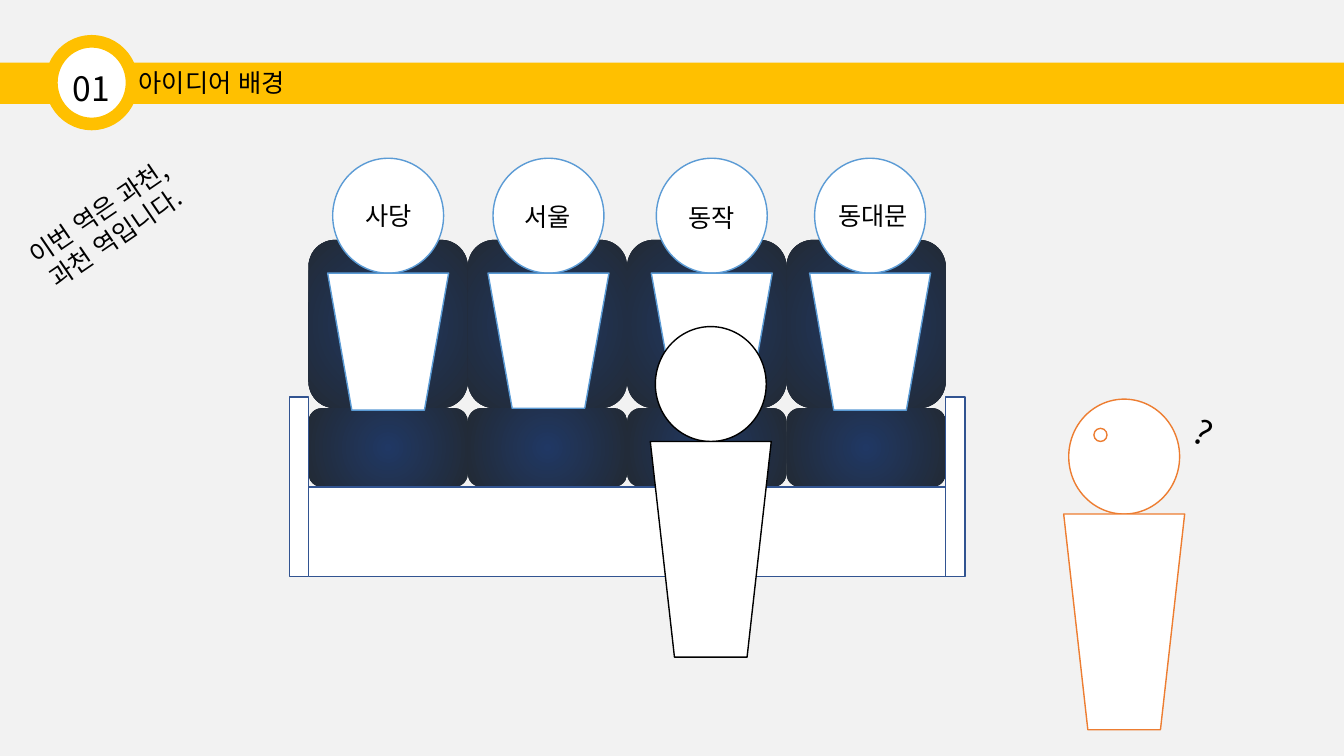
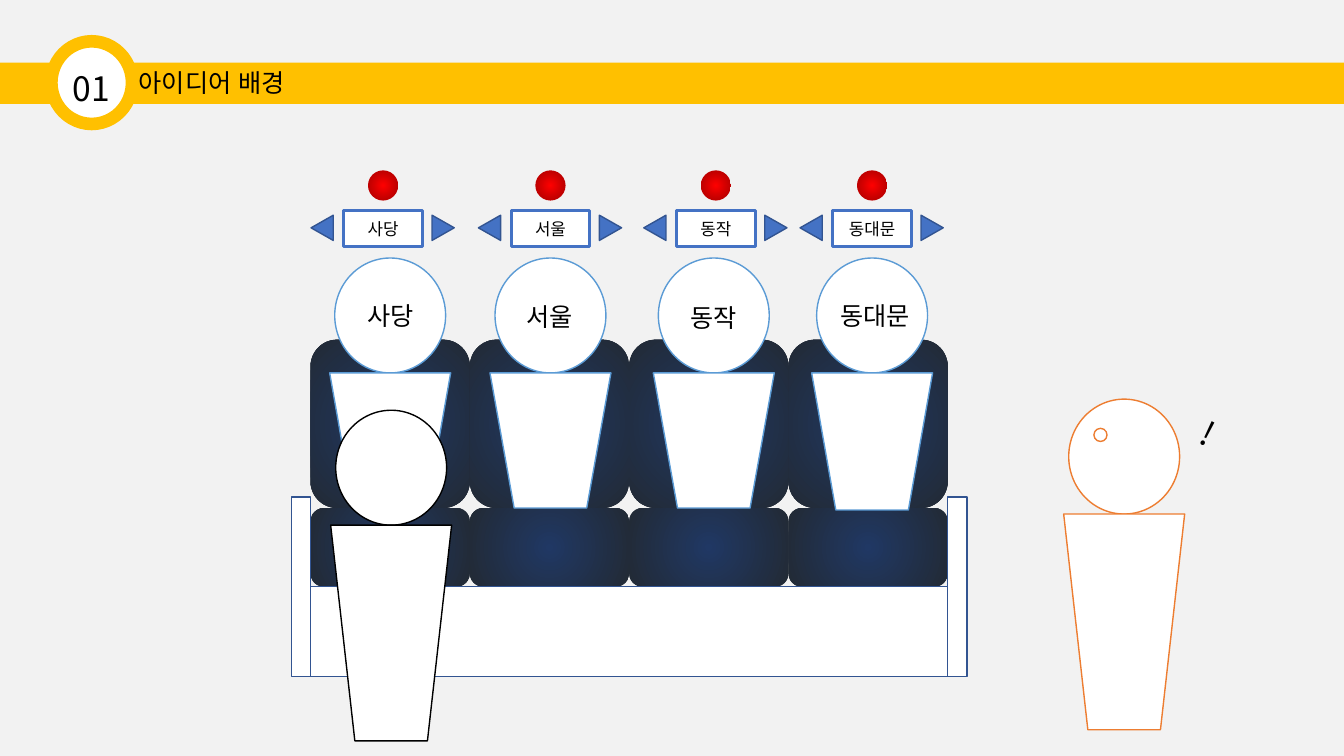
from lxml import etree
from pptx import Presentation
from pptx.dml.color import RGBColor
from pptx.enum.lang import MSO_LANGUAGE_ID as Language
from pptx.enum.shapes import MSO_SHAPE as Shape
from pptx.enum.text import MSO_ANCHOR as Anchor, MSO_AUTO_SIZE as AutoSize, PP_ALIGN as Align
from pptx.oxml import parse_xml
from pptx.oxml.ns import nsdecls, qn
from pptx.util import Inches, Pt

FONT = "Noto Sans CJK KR"
COLORS = {
    "page": "F2F2F2", "band": "FFC000", "white": "FFFFFF", "black": "000000",
    "seat_center": "203864", "seat_edge": "222A35", "outline": "325491",
    "passenger": "5B9BD5", "observer": "ED7D31", "sign": "4472C4",
    "light_center": "FF0000", "light_edge": "C00000",
}
SEAT_WIDTH, BACK_HEIGHT, CUSHION_HEIGHT = 1.58, 1.67, 0.78
BASE_HEIGHT, ARM_WIDTH, ARM_HEIGHT = 0.89, 0.19, 1.78
HEAD_WIDTH, HEAD_HEIGHT, BODY_WIDTH = 1.1, 1.14, 1.2
# station, head offset from the bench, label offset from the head, body height
PASSENGERS = [
    ("사당", 0.24, (-0.36, 0.37), 1.36),
    ("서울", 1.83, (-0.37, 0.38), 1.34),
    ("동작", 3.45, (-0.36, 0.39), 1.34),
    ("동대문", 5.02, (-0.33, 0.37), 1.36),
]
SIGN_LEFTS = [3.41, 5.07, 6.71, 8.26]


def color(name):
    return RGBColor.from_string(COLORS[name])


def write(frame, text, size=18, align=Align.CENTER, anchor=Anchor.TOP,
          wrap=True, grow=True):
    frame.word_wrap = wrap
    frame.vertical_anchor = anchor
    frame.auto_size = AutoSize.SHAPE_TO_FIT_TEXT if grow else AutoSize.NONE
    para = frame.paragraphs[0]
    para.alignment = align
    span = para.add_run()
    span.text = text
    font = span.font
    font.size, font.name = Pt(size), FONT
    font.language_id = Language.KOREAN
    font.color.rgb = color("black")
    etree.SubElement(span._r.rPr, qn("a:ea"), typeface=FONT)


class Scene:
    def __init__(self):
        self.deck = Presentation()
        self.deck.slide_width, self.deck.slide_height = Inches(13.33), Inches(7.5)
        fill = self.deck.slide_master.background.fill
        fill.solid()
        fill.fore_color.rgb = color("page")
        self.page = None

    def add_page(self, number, title):
        self.page = self.deck.slides.add_slide(self.deck.slide_layouts[5])
        self.shape(Shape.RECTANGLE, 0, 0.62, 13.42, 0.41, "band")
        self.shape(Shape.OVAL, 0.51, 0.41, 0.8, 0.82, line="band", weight=9)
        self.text(number, 0.62, 0.62, 0.57, 0.5, size=24, align=Align.LEFT, wrap=False)
        box = self.page.shapes.title
        box.left, box.top, box.width, box.height = map(Inches, (1.19, 0.62, 1.82, 0.4))
        write(box.text_frame, title)
        self.page.shapes._spTree.append(box._element)  # in front of the band

    def shape(self, kind, left, top, width, height, fill="white", line=None,
              weight=1, rotation=0):
        shape = self.page.shapes.add_shape(kind, *map(Inches, (left, top, width, height)))
        shape.shadow.inherit = False
        shape.rotation = rotation
        shape.fill.solid()
        shape.fill.fore_color.rgb = color(fill)
        if line:
            shape.line.color.rgb = color(line)
            shape.line.width = Pt(weight)
        else:
            shape.line.fill.background()
        return shape

    def glow(self, kind, left, top, width, height, center, edge, reach=1.0):
        """Draw a shape with a gradient running out from its middle."""
        shape = self.shape(kind, left, top, width, height)
        shape.fill.gradient()
        for stop, name, position in zip(shape.fill.gradient_stops, (center, edge), (0, reach)):
            stop.color.rgb = color(name)
            stop.position = position
        gradient = shape._element.spPr.find(qn("a:gradFill"))
        gradient.replace(gradient.find(qn("a:lin")), parse_xml(
            f'<a:path {nsdecls("a")} path="circle">'
            '<a:fillToRect l="50000" t="50000" r="50000" b="50000"/></a:path>'))

    def text(self, text, left, top, width, height, rotation=0, **style):
        box = self.page.shapes.add_textbox(*map(Inches, (left, top, width, height)))
        box.rotation = rotation
        write(box.text_frame, text, **style)

    def person(self, left, top, body_height, line):
        self.shape(Shape.OVAL, left, top, HEAD_WIDTH, HEAD_HEIGHT, line=line)
        self.shape(Shape.FLOWCHART_MANUAL_OPERATION, left - 0.05, top + HEAD_HEIGHT,
                   BODY_WIDTH, body_height, line=line)

    def bench(self, left, top):
        """Draw the row of seats with the seated passengers."""
        cushion_top = top + BACK_HEIGHT
        length = SEAT_WIDTH * len(PASSENGERS)
        for index in range(len(PASSENGERS)):
            seat_left = left + index * SEAT_WIDTH
            for part_top, height in ((top, BACK_HEIGHT), (cushion_top, CUSHION_HEIGHT)):
                self.glow(Shape.FLOWCHART_ALTERNATE_PROCESS, seat_left, part_top,
                          SEAT_WIDTH, height, "seat_center", "seat_edge")
        self.shape(Shape.FLOWCHART_PROCESS, left, cushion_top + CUSHION_HEIGHT,
                   length, BASE_HEIGHT, line="outline")
        for arm_left in (left - ARM_WIDTH, left + length):
            self.shape(Shape.FLOWCHART_PROCESS, arm_left, top + 1.56,
                       ARM_WIDTH, ARM_HEIGHT, line="outline")
        for station, offset, (label_x, label_y), body_height in PASSENGERS:
            head_left, head_top = left + offset, top - 0.81
            self.person(head_left, head_top, body_height, "passenger")
            self.text(station, head_left + label_x, head_top + label_y, 1.82, 0.4)

    def observer(self, mark, mark_left):
        self.person(10.6, 3.96, 2.14, "observer")
        self.shape(Shape.OVAL, 10.85, 4.25, 0.13, 0.13, line="observer")
        self.text(mark, mark_left, 4.04, 2.27, 0.5, rotation=26.3, size=24)

    def sign(self, station, left):
        """Draw a station display with its light and two arrows."""
        panel = self.shape(Shape.FLOWCHART_PROCESS, left, 2.09, 0.78, 0.36,
                           line="sign", weight=2.25)
        write(panel.text_frame, station, size=12, anchor=Anchor.MIDDLE, grow=False)
        self.glow(Shape.OVAL, left + 0.24, 1.69, 0.3, 0.3,
                  "light_center", "light_edge", reach=0.68)
        for offset, rotation in ((0.86, 90), (-0.34, 270)):
            self.shape(Shape.ISOSCELES_TRIANGLE, left + offset, 2.15, 0.25, 0.22,
                       "sign", "outline", rotation=rotation)


def main():
    scene = Scene()
    scene.add_page("01", "아이디어 배경")
    scene.bench(3.06, 2.38)
    scene.person(6.5, 3.24, 2.14, "black")
    scene.observer("?", 10.8)
    scene.text("이번 역은 과천, 과천 역입니다.", 0.15, 1.88, 1.82, 0.71, rotation=325.7)

    scene.add_page("01", "아이디어 배경")
    scene.bench(3.08, 3.37)
    scene.person(3.33, 4.07, 2.14, "black")
    scene.observer("!", 10.85)
    for (station, *_), left in zip(PASSENGERS, SIGN_LEFTS):
        scene.sign(station, left)
    scene.deck.save("out.pptx")


if __name__ == "__main__":
    main()
